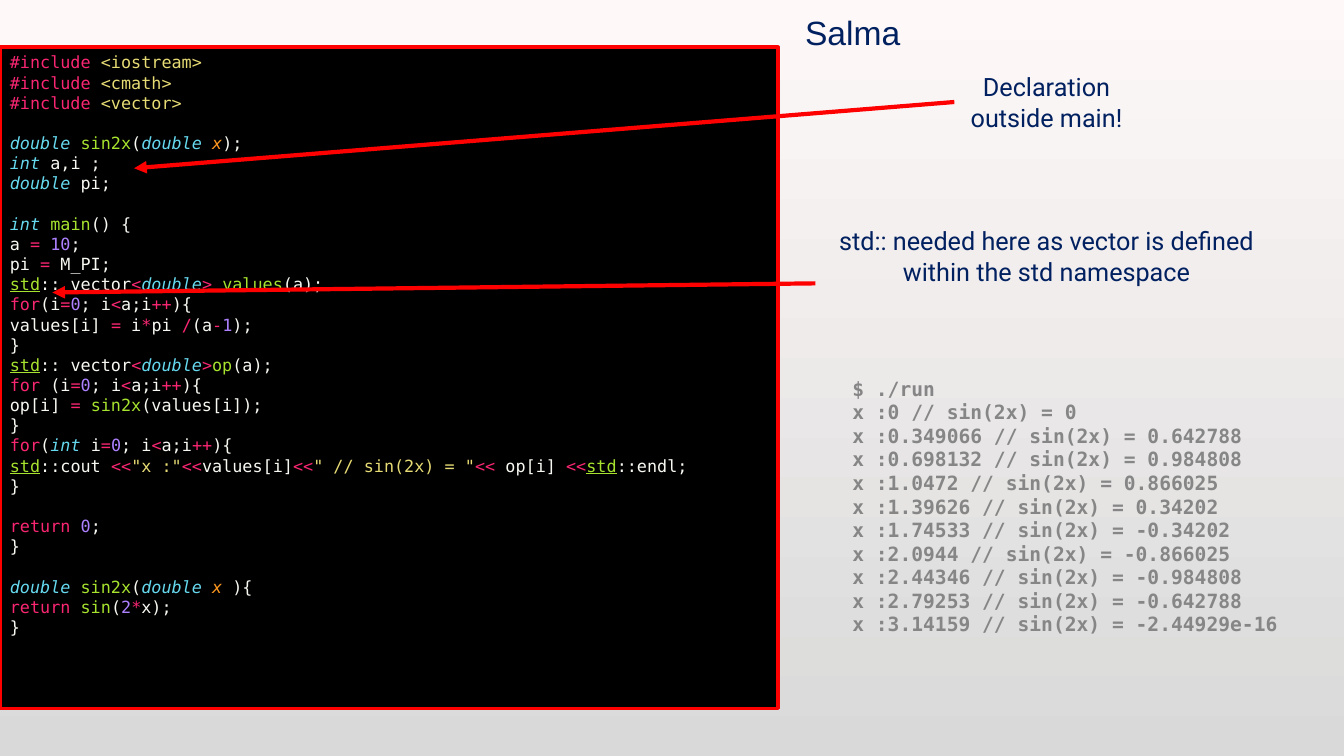
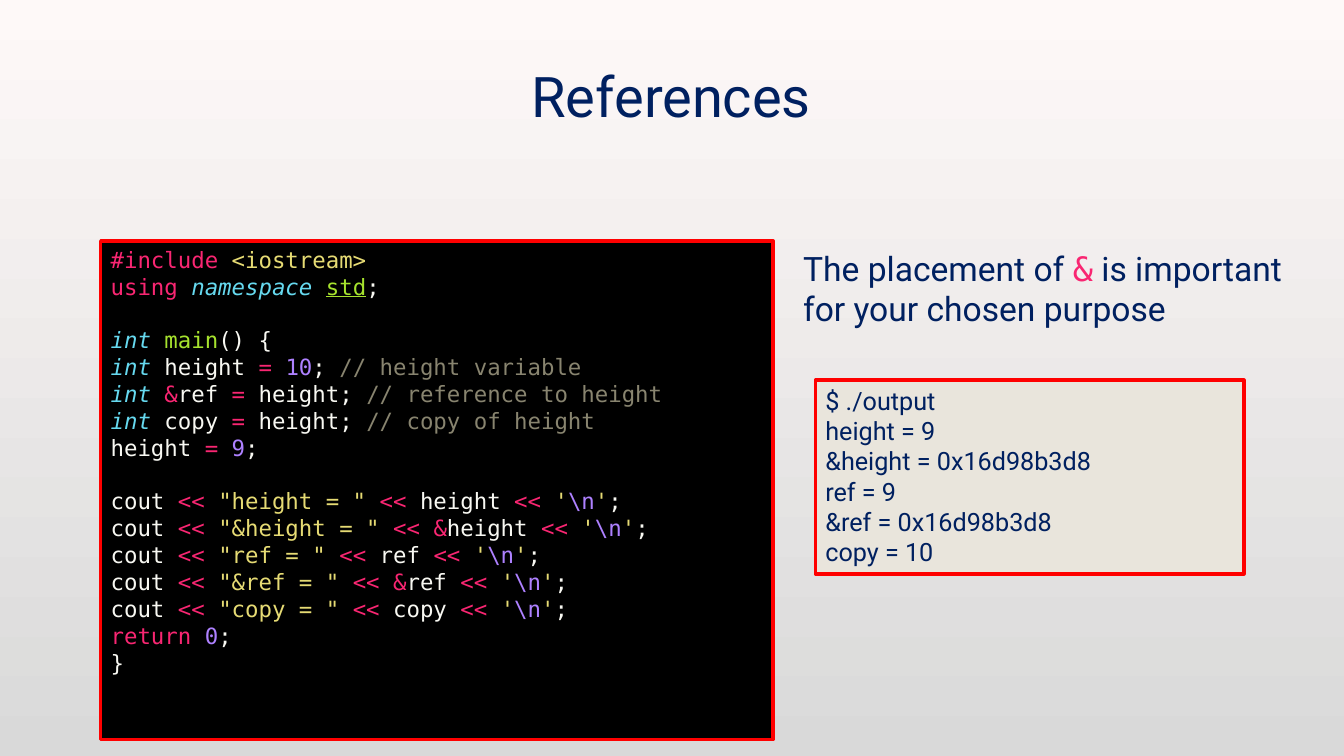
"""Build two slides on C++ code: a marked-up program and references."""
from dataclasses import dataclass
from itertools import groupby
from typing import Iterator, Optional

from lxml import etree
from pptx import Presentation
from pptx.dml.color import RGBColor
from pptx.enum.shapes import MSO_CONNECTOR, MSO_SHAPE
from pptx.enum.text import MSO_ANCHOR, PP_ALIGN
from pptx.oxml import parse_xml
from pptx.oxml.ns import nsdecls, qn
from pptx.util import Cm, Pt

RECT = MSO_SHAPE.RECTANGLE
LINE = MSO_CONNECTOR.STRAIGHT
TOP, MIDDLE = MSO_ANCHOR.TOP, MSO_ANCHOR.MIDDLE
LEFT, CENTER = PP_ALIGN.LEFT, PP_ALIGN.CENTER


@dataclass(frozen=True)
class Theme:
    ink: str = "002060"
    red: str = "FF0000"
    black: str = "000000"
    sand: str = "E9E5DC"
    gray: str = "868686"
    light: str = "FEF9F8"
    dark: str = "D9D9D9"
    word: str = "F92672"
    kind: str = "66D9EF"
    func: str = "A6E22E"
    quote: str = "E6DB74"
    digit: str = "AE81FF"
    param: str = "FD971F"
    note: str = "88846F"
    plain: str = "F8F8F2"
    sans: str = "Roboto"
    mono: str = "DejaVu Sans Mono"
    arial: str = "Arial"
    title: int = 40
    lead: int = 24
    body: int = 18
    large: int = 16
    log: int = 14
    small: int = 12
    pitch: float = 1.2


THEME = Theme()
WORDS = {"for", "return", "using"}
KINDS = {"int", "double", "namespace"}
SIGNS = "=<>+-*/&"


@dataclass(frozen=True)
class Box:
    x: float
    y: float
    w: float
    h: float


@dataclass(frozen=True)
class Label:
    box: Box
    text: str
    size: int = THEME.body
    face: str = THEME.sans
    color: str = THEME.ink
    bold: bool = False
    align: PP_ALIGN = LEFT
    fill: Optional[str] = None


@dataclass(frozen=True)
class Code:
    box: Box
    size: int
    text: str


@dataclass(frozen=True)
class Arrow:
    x: float
    y: float
    endx: float
    endy: float


@dataclass(frozen=True)
class Token:
    text: str
    color: str
    slant: bool = False
    under: bool = False


MAIN = Code(Box(0, 1.19, 19.61, 16.66), THEME.small, r"""#include <iostream>
#include <cmath>
#include <vector>

double sin2x(double x);
int a,i ;
double pi;

int main() {
a = 10;
pi = M_PI;
std:: vector<double> values(a);
for(i=0; i<a;i++){
values[i] = i*pi /(a-1);
}
std:: vector<double>op(a);
for (i=0; i<a;i++){
op[i] = sin2x(values[i]);
}
for(int i=0; i<a;i++){
std::cout <<"x :"<<values[i]<<" // sin(2x) = "<< op[i] <<std::endl;
}

return 0;
}

double sin2x(double x ){
return sin(2*x);
}""")

REFS = Code(Box(2.54, 6.07, 16.94, 12.57), THEME.large, r"""#include <iostream>
using namespace std;

int main() {
int height = 10; // height variable
int &ref = height; // reference to height
int copy = height; // copy of height
height = 9;

cout << "height = " << height << '\n';
cout << "&height = " << &height << '\n';
cout << "ref = " << ref << '\n';
cout << "&ref = " << &ref << '\n';
cout << "copy = " << copy << '\n';
return 0;
}""")

LABELS = (
    Label(Box(20.04, 0.18, 4.42, 1.27), "Salma", THEME.lead, THEME.arial),
    Label(Box(24.1, 1.68, 4.55, 1.8), "Declaration outside main!", align=CENTER),
    Label(Box(20.85, 5.56, 11.05, 1.8),
          "std:: needed here as vector is defined within the std namespace",
          align=CENTER),
    Label(Box(21.23, 9.37, 12.37, 6.83), """$ ./run
x :0 // sin(2x) = 0
x :0.349066 // sin(2x) = 0.642788
x :0.698132 // sin(2x) = 0.984808
x :1.0472 // sin(2x) = 0.866025
x :1.39626 // sin(2x) = 0.34202
x :1.74533 // sin(2x) = -0.34202
x :2.0944 // sin(2x) = -0.866025
x :2.44346 // sin(2x) = -0.984808
x :2.79253 // sin(2x) = -0.642788
x :3.14159 // sin(2x) = -2.44929e-16""", THEME.log, THEME.mono, THEME.gray, True),
)
ARROWS = (Arrow(24.05, 2.57, 3.38, 4.24), Arrow(20.55, 7.14, 1.32, 7.37))

RESULT = Label(Box(20.55, 9.58, 10.8, 4.88), """$ ./output
height = 9
&height = 0x16d98b3d8
ref = 9
&ref = 0x16d98b3d8
copy = 10""", fill=THEME.sand)
HEAD = Box(2.54, 0.64, 28.75, 3.5)
LEAD = Box(19.99, 6.12, 13.3, 2.92)


def rgb(color: str) -> RGBColor:
    """Turn a hex string into a colour."""
    return RGBColor.from_string(color)


def span(box: Box) -> tuple:
    """Give the left, top, width and height of a box."""
    return Cm(box.x), Cm(box.y), Cm(box.w), Cm(box.h)


def name(line: str, start: int, end: int) -> Token:
    """Colour one word of code by its place in the line."""
    text = line[start:end]
    if text[0].isdigit():
        return Token(text, THEME.digit)
    if text in WORDS:
        return Token(text, THEME.word)
    if text in KINDS:
        return Token(text, THEME.kind, slant=True)
    if text == "std":
        return Token(text, THEME.func, under=True)
    if line[:start].endswith("(double "):
        return Token(text, THEME.param, slant=True)
    return Token(text, THEME.func if line[end:end + 1] == "(" else THEME.plain)


def lex(line: str) -> Iterator[Token]:
    """Split a line of code into coloured tokens."""
    if line.startswith("#"):
        head, tail = line.split()
        yield Token(head + " ", THEME.word)
        yield Token(tail, THEME.quote)
        return
    start = 0
    while start < len(line):
        char, end = line[start], start + 1
        color = THEME.word if char in SIGNS else THEME.plain
        if line.startswith("//", start):
            end, color = len(line), THEME.note
        elif char == '"':
            end, color = line.index(char, end) + 1, THEME.quote
        elif char == "'":
            color = THEME.quote
        elif char == "\\":
            end, color = start + 2, THEME.digit
        elif char.isalnum():
            while end < len(line) and (line[end].isalnum() or line[end] == "_"):
                end += 1
            yield name(line, start, end)
            start = end
            continue
        yield Token(line[start:end], color)
        start = end


def panel(slide, box: Box, fill: str):
    """Draw a filled box with a red frame."""
    shape = slide.shapes.add_shape(RECT, *span(box))
    shape.shadow.inherit = False
    shape.fill.solid()
    shape.fill.fore_color.rgb = rgb(fill)
    shape.line.color.rgb = rgb(THEME.red)
    shape.line.width = Pt(2.5)
    return shape


def frame(shape):
    """Set a shape's text to wrap from its top and return the frame."""
    text = shape.text_frame
    text.word_wrap = True
    text.vertical_anchor = TOP
    return text


def draw_label(slide, label: Label) -> None:
    """Draw text of one style, on a panel if it has a fill."""
    shape = (panel(slide, label.box, label.fill) if label.fill
             else slide.shapes.add_textbox(*span(label.box)))
    text = frame(shape)
    text.text = label.text
    for para in text.paragraphs:
        para.alignment = label.align
        font = para.font
        font.size, font.name, font.bold = Pt(label.size), label.face, label.bold
        font.color.rgb = rgb(label.color)


def draw_code(slide, code: Code) -> None:
    """Draw a dark panel of coloured code."""
    text = frame(panel(slide, code.box, THEME.black))
    para, gap = text.paragraphs[0], 0
    for row, line in enumerate(code.text.split("\n")):
        if not line:
            gap += 1
            continue
        if row:
            para = text.add_paragraph()
        para.alignment = LEFT
        if gap:
            para.space_before = Pt(gap * code.size * THEME.pitch)
        gap = 0
        para.font.size, para.font.name = Pt(code.size), THEME.mono
        for look, group in groupby(lex(line), lambda t: (t.color, t.slant, t.under)):
            run = para.add_run()
            run.text = "".join(token.text for token in group)
            run.font.color.rgb = rgb(look[0])
            run.font.italic, run.font.underline = look[1:]


def draw_arrow(slide, arrow: Arrow) -> None:
    """Draw a red arrow."""
    line = slide.shapes.add_connector(
        LINE, Cm(arrow.x), Cm(arrow.y), Cm(arrow.endx), Cm(arrow.endy))
    line.line.color.rgb = rgb(THEME.red)
    line.line.width = Pt(3)
    etree.SubElement(line.line._get_or_add_ln(), qn("a:tailEnd"), type="triangle")
    etree.SubElement(line._element.spPr, qn("a:effectLst"))


def draw_glow(para, parts: list, size: int) -> None:
    """Write text with a faint outline and a soft shadow."""
    para.font.size = Pt(size)
    for text, face, color in parts:
        run = para.add_run()
        run.text = text
        run.font.name = face
        run.font.color.rgb = rgb(color)
        props = run._r.get_or_add_rPr()
        props.insert(0, parse_xml(
            f'<a:ln {nsdecls("a")} w="9525"><a:solidFill><a:srgbClr val="404040">'
            '<a:alpha val="10000"/></a:srgbClr></a:solidFill></a:ln>'))
        props.insert(2, parse_xml(
            f'<a:effectLst {nsdecls("a")}><a:outerShdw blurRad="38100" dist="38100" '
            'dir="2700000"><a:srgbClr val="000000"><a:alpha val="43000"/>'
            '</a:srgbClr></a:outerShdw></a:effectLst>'))


def main() -> None:
    """Build and save the slides."""
    deck = Presentation()
    deck.slide_width, deck.slide_height = Cm(33.87), Cm(19.05)
    fill = deck.slide_master.background.fill
    fill.gradient()
    fill.gradient_angle = 270
    for stop, color in zip(fill.gradient_stops, (THEME.light, THEME.dark)):
        stop.color.rgb = rgb(color)

    slide = deck.slides.add_slide(deck.slide_layouts[6])
    draw_code(slide, MAIN)
    for label in LABELS:
        draw_label(slide, label)
    for arrow in ARROWS:
        draw_arrow(slide, arrow)

    slide = deck.slides.add_slide(deck.slide_layouts[5])
    title = slide.shapes.title
    title.left, title.top, title.width, title.height = span(HEAD)
    title.text_frame.vertical_anchor = MIDDLE
    para = title.text_frame.paragraphs[0]
    para.alignment = CENTER
    draw_glow(para, [("References", THEME.sans, THEME.ink)], THEME.title)
    lead = frame(slide.shapes.add_textbox(*span(LEAD)))
    draw_glow(lead.paragraphs[0], [
        ("The placement of ", THEME.sans, THEME.ink),
        ("&", THEME.mono, THEME.word),
        (" is important for your chosen purpose", THEME.sans, THEME.ink),
    ], THEME.lead)
    draw_label(slide, RESULT)
    draw_code(slide, REFS)
    deck.save("out.pptx")


if __name__ == "__main__":
    main()
